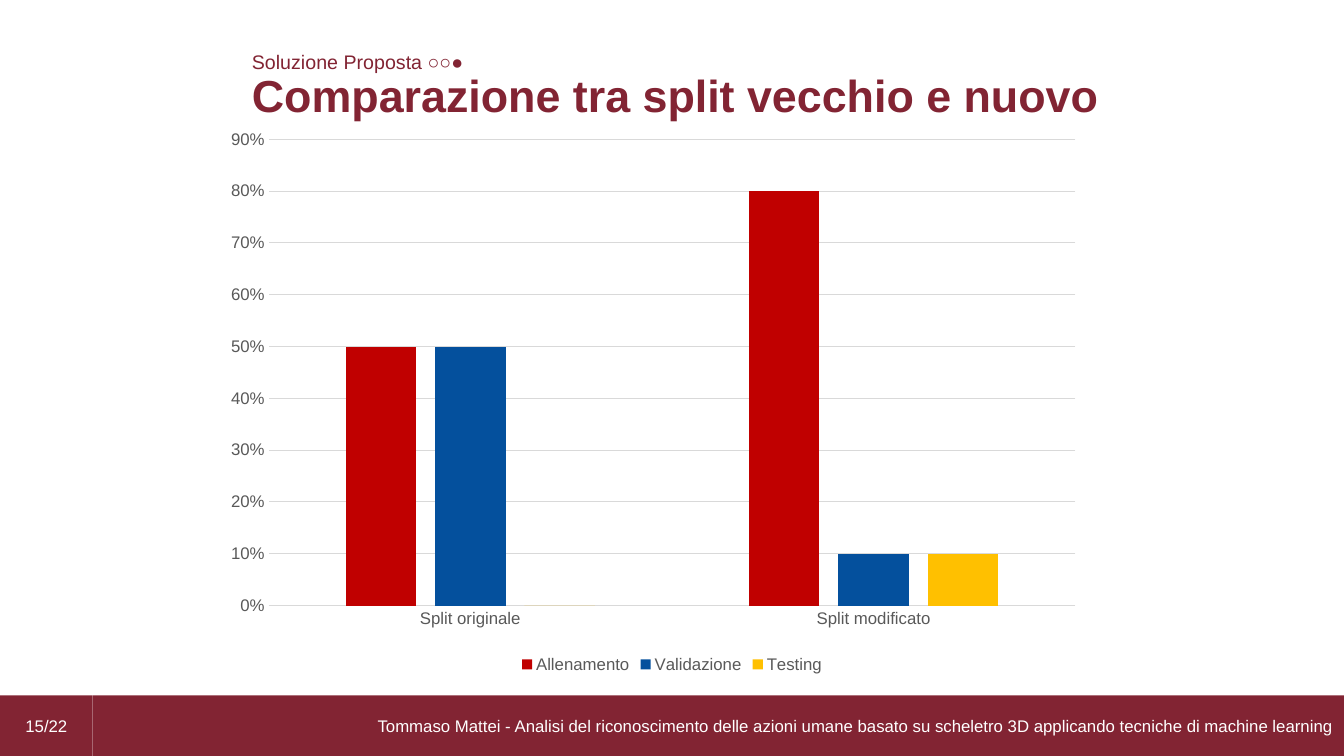
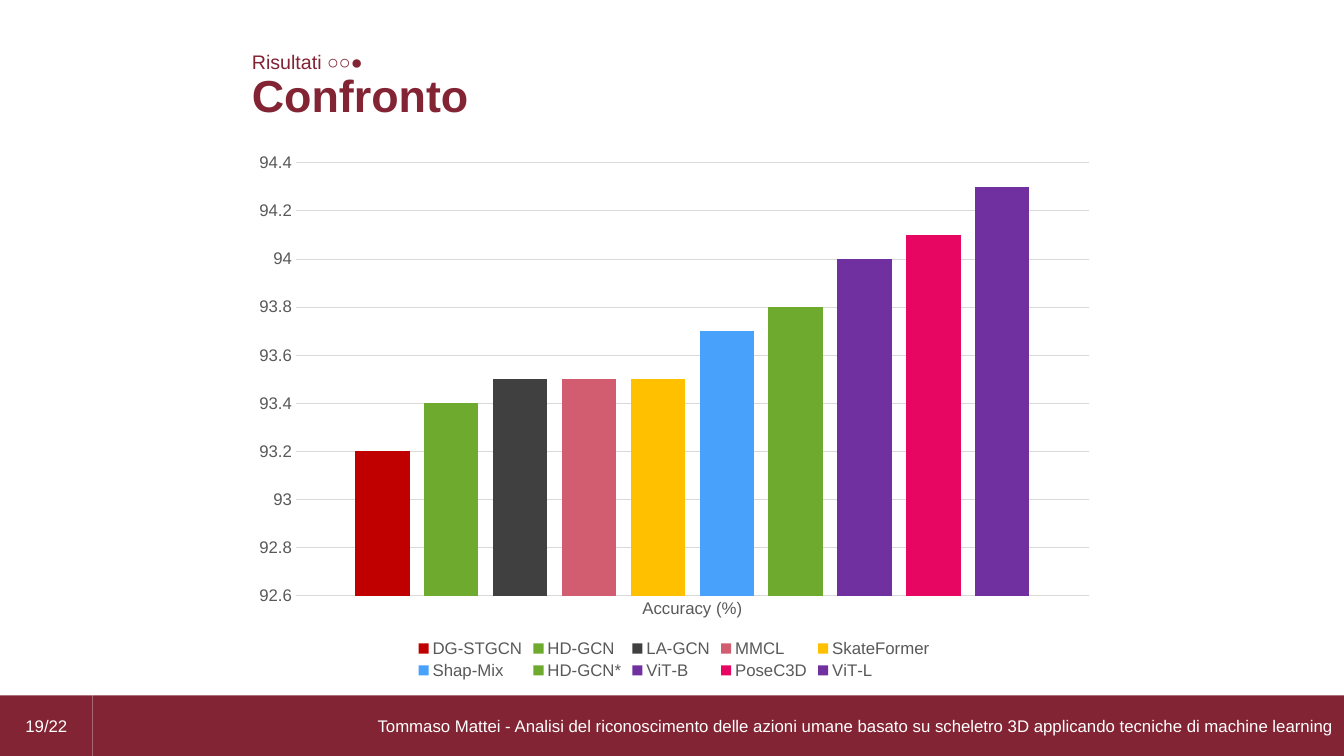
from lxml import etree
from pptx import Presentation
from pptx.chart.data import CategoryChartData
from pptx.dml.color import RGBColor
from pptx.enum import chart as ch, shapes, text
from pptx.oxml import ns
from pptx.util import Inches, Pt

FONT = "Arial"
BRAND, WHITE, GREY, GRID = "822433", "FFFFFF", "595959", "D9D9D9"
TOTAL = 22
FOOTER = ("Tommaso Mattei - Analisi del riconoscimento delle azioni umane "
          "basato su scheletro 3D applicando tecniche di machine learning")


def rgb(value):
    return RGBColor.from_string(value)


def set_attrs(target, values):
    for name, value in values.items():
        setattr(target, name, value)


def style_font(font, size, color, bold=False):
    set_attrs(font, {"name": FONT, "size": Pt(size), "bold": bold})
    font.color.rgb = rgb(color)


def set_plot_layout(chart, box):
    """Fix the inner plot area; box holds x, y, w, h as fractions of the chart."""
    area = chart._chartSpace.find(".//" + ns.qn("c:plotArea"))
    for old in area.findall(ns.qn("c:layout")):
        area.remove(old)
    layout = etree.Element(ns.qn("c:layout"))
    manual = etree.SubElement(layout, ns.qn("c:manualLayout"))
    values = {"layoutTarget": "inner", "xMode": "edge", "yMode": "edge",
              **dict(zip("xywh", box))}
    for tag, value in values.items():
        etree.SubElement(manual, ns.qn("c:" + tag)).set("val", str(value))
    area.insert(0, layout)


class Deck:
    def __init__(self):
        self.prs = Presentation()
        self.prs.slide_width, self.prs.slide_height = Inches(13.33), Inches(7.5)
        self.s = None

    def slide(self, number, section, title):
        """Add a slide with its footer bands, title and section label."""
        self.s = self.prs.slides.add_slide(self.prs.slide_layouts[6])
        self.band(0.92, 12.41, FOOTER, text.PP_ALIGN.RIGHT)
        self.band(0, 0.92, f"{number}/{TOTAL}", text.PP_ALIGN.CENTER)
        self.label((2.4, 0.62, 10.07, 0.64), title, 32, bold=True)
        self.label((2.4, 0.45, 2.42, 0.34), section, 14)

    def band(self, left, width, words, align):
        sp = self.s.shapes.add_shape(shapes.MSO_SHAPE.RECTANGLE, Inches(left),
                                     Inches(6.9), Inches(width), Inches(0.6))
        sp.shadow.inherit = False
        sp.fill.solid()
        sp.fill.fore_color.rgb = rgb(BRAND)
        sp.line.fill.background()
        sp.text_frame.vertical_anchor = text.MSO_ANCHOR.MIDDLE
        self.add_text(sp.text_frame, words, 12, WHITE, align=align)

    def label(self, box, words, size, bold=False):
        tf = self.s.shapes.add_textbox(*map(Inches, box)).text_frame
        set_attrs(tf, {"word_wrap": True,
                       "auto_size": text.MSO_AUTO_SIZE.SHAPE_TO_FIT_TEXT})
        self.add_text(tf, words, size, BRAND, bold)

    def add_text(self, tf, words, size, color, bold=False, align=text.PP_ALIGN.LEFT):
        p = tf.paragraphs[0]
        p.alignment = align
        r = p.add_run()
        r.text = words
        style_font(r.font, size, color, bold)

    def column_chart(self, box, categories, series, scale, number_format, plot_box=None):
        """Add clustered columns; series holds (name, values, colour), scale (min, max, step)."""
        data = CategoryChartData(number_format=number_format)
        data.categories = categories
        for name, values, _ in series:
            data.add_series(name, values)
        chart = self.s.shapes.add_chart(ch.XL_CHART_TYPE.COLUMN_CLUSTERED,
                                        *map(Inches, box), data).chart
        style_font(chart.font, 10, "000000")
        set_attrs(chart, {"has_title": False, "has_legend": True})
        set_attrs(chart.legend, {"position": ch.XL_LEGEND_POSITION.BOTTOM,
                                 "include_in_layout": False})
        style_font(chart.legend.font, 12, GREY)

        plot = chart.plots[0]
        set_attrs(plot, {"gap_width": 219, "overlap": -27, "vary_by_categories": False})
        for item, (_, _, color) in zip(plot.series, series):
            item.invert_if_negative = False
            item.format.fill.solid()
            item.format.fill.fore_color.rgb = rgb(color)

        cat, val = chart.category_axis, chart.value_axis
        for axis in (cat, val):
            set_attrs(axis, {"major_tick_mark": ch.XL_TICK_MARK.NONE,
                             "minor_tick_mark": ch.XL_TICK_MARK.NONE})
            style_font(axis.tick_labels.font, 12, GREY)
        set_attrs(val, dict(zip(("minimum_scale", "maximum_scale", "major_unit"), scale)))
        set_attrs(val.tick_labels, {"number_format": number_format,
                                    "number_format_is_linked": False})
        val.format.line.fill.background()
        for line in (cat.format.line, val.major_gridlines.format.line):
            line.color.rgb = rgb(GRID)
            line.width = Pt(0.75)
        if plot_box:
            set_plot_layout(chart, plot_box)


def main():
    deck = Deck()

    deck.slide(15, "Soluzione Proposta ○○●", "Comparazione tra split vecchio e nuovo")
    splits = [
        ("Allenamento", (0.5, 0.8), "C00000"),
        ("Validazione", (0.5, 0.1), "04509D"),
        ("Testing", (0, 0.1), "FFC000"),
    ]
    deck.column_chart((2.22, 0.79, 8.89, 5.93), ("Split originale", "Split modificato"),
                      splits, (0, 0.9, 0.1), "0%", (0.05, 0.1, 0.9, 0.78))

    deck.slide(19, "Risultati ○○●", "Confronto")
    models = [
        ("DG-STGCN", 93.2, "C00000"),
        ("HD-GCN", 93.4, "6EAA2E"),
        ("LA-GCN", 93.5, "404040"),
        ("MMCL", 93.5, "D25D70"),
        ("SkateFormer", 93.5, "FFC000"),
        ("Shap-Mix", 93.7, "48A1FA"),
        ("HD-GCN*", 93.8, "6EAA2E"),
        ("ViT-B", 94, "7030A0"),
        ("PoseC3D", 94.1, "E70762"),
        ("ViT-L", 94.3, "7030A0"),
    ]
    deck.column_chart((2.4, 1.42, 8.57, 5.36), ("Accuracy (%)",),
                      [(name, (value,), color) for name, value, color in models],
                      (92.6, 94.4, 0.2), "General")

    deck.prs.save("out.pptx")


if __name__ == "__main__":
    main()
